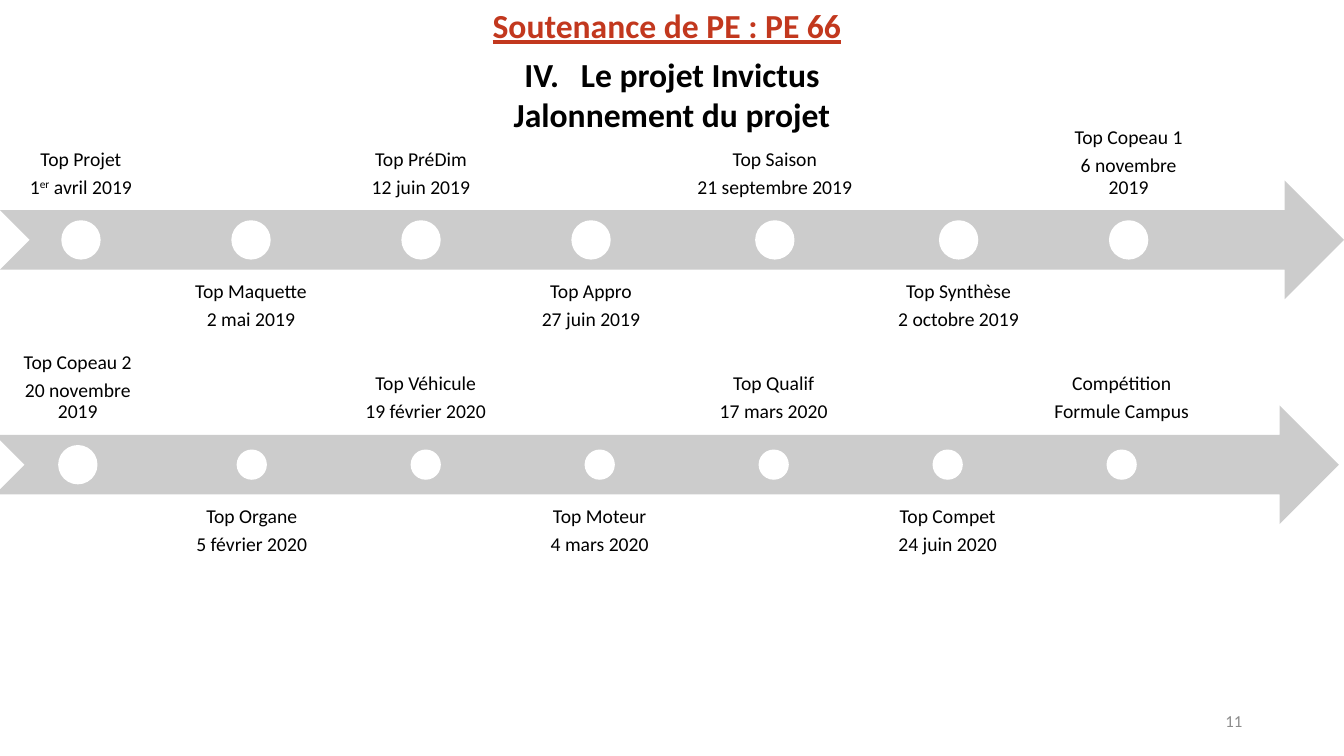
from dataclasses import dataclass

from lxml import etree
from pptx import Presentation, util as u
from pptx.dml.color import RGBColor
from pptx.enum import shapes, text
from pptx.oxml.ns import qn


@dataclass(frozen=True)
class Theme:
    font: str = "Calibri"
    accent: str = "C2381E"
    ink: str = "000000"
    muted: str = "8C8C8C"
    band: str = "CCCCCC"
    paper: str = "FFFFFF"
    heading_size: int = 24
    label_size: int = 14
    footer_size: int = 12


CENTER, RIGHT = text.PP_ALIGN.CENTER, text.PP_ALIGN.RIGHT
TOP, MIDDLE, BOTTOM = (text.MSO_ANCHOR.TOP, text.MSO_ANCHOR.MIDDLE,
                       text.MSO_ANCHOR.BOTTOM)
WIDTH, HEIGHT = 13.33, 7.5
LABEL_SPAN = 0.9    # share of the arrow's length that carries labels
LABEL_GAP = 0.05    # gap between labels, in label widths
ROW_HEIGHT = 3.02
LABEL_SHARE = 0.4   # label height as a share of the row
ARROW_SHARE = 0.39

# Each milestone: name, date runs, relative label width
FIRST_MILESTONES = [
    ("Top Projet", ["1", "^er", " avril 2019"], 1),
    ("Top Maquette", ["2 mai 2019"], 1),
    ("Top PréDim", ["12 juin 2019"], 1),
    ("Top Appro", ["27 juin 2019"], 1),
    ("Top Saison", ["21 septembre 2019"], 1.17),
    ("Top Synthèse", ["2 octobre 2019"], 1),
    ("Top Copeau 1", ["6 novembre 2019"], 1),
]
SECOND_MILESTONES = [
    ("Top Copeau 2", ["20 novembre 2019"], 1),
    ("Top Organe", ["5 février 2020"], 1),
    ("Top Véhicule", ["19 février 2020"], 1),
    ("Top Moteur", ["4 mars 2020"], 1),
    ("Top Qualif", ["17 mars 2020"], 1),
    ("Top Compet", ["24 juin 2020"], 1),
    ("Compétition", ["Formule Campus"], 1),
]


class Deck:
    def __init__(self, theme):
        self.theme = theme
        self.prs = Presentation()
        self.prs.slide_width = u.Inches(WIDTH)
        self.prs.slide_height = u.Inches(HEIGHT)
        self.slide = self.prs.slides.add_slide(self.prs.slide_layouts[1])

    def place(self, holder, left, top, width, height):
        holder.left, holder.top = u.Inches(left), u.Inches(top)
        holder.width, holder.height = u.Inches(width), u.Inches(height)

    def fill_lines(self, frame, lines, size, color, align=CENTER, anchor=TOP,
                   bold=False, underline=False, spacing=1.0, after=0):
        """Fill a frame with lines of runs; a leading ^ marks a superscript."""
        frame.word_wrap = True
        frame.auto_size = text.MSO_AUTO_SIZE.NONE
        frame.vertical_anchor = anchor
        for index, runs in enumerate(lines):
            line = frame.add_paragraph() if index else frame.paragraphs[0]
            line.alignment = align
            line.line_spacing = spacing
            line.space_before, line.space_after = u.Pt(0), u.Pt(after)
            for words in runs:
                run = line.add_run()
                run.text = words.lstrip("^")
                font = run.font
                font.name, font.size = self.theme.font, u.Pt(size)
                font.bold, font.underline = bold, underline
                font.color.rgb = RGBColor.from_string(color)
                if words.startswith("^"):
                    run._r.get_or_add_rPr().set("baseline", "30000")

    def title(self, words, left, top, width, height):
        holder = self.slide.shapes.title
        self.place(holder, left, top, width, height)
        self.fill_lines(holder.text_frame, [[words]], self.theme.heading_size,
                        self.theme.accent, bold=True, underline=True)

    def section(self, heading, subheading, number, left, top, width, height):
        """Set a Roman-numbered heading above an unnumbered one."""
        holder = self.slide.placeholders[1]
        self.place(holder, left, top, width, height)
        frame = holder.text_frame
        self.fill_lines(frame, [[heading], [subheading]],
                        self.theme.heading_size, self.theme.ink, bold=True)
        for line, indent in zip(frame.paragraphs, (0.56, 0)):
            props = line._p.get_or_add_pPr()
            props.set("marL", str(u.Inches(indent)))
            props.set("indent", str(-u.Inches(indent)))
            if indent:
                etree.SubElement(props, qn("a:buAutoNum"),
                                 type="romanUcPeriod", startAt=str(number))
            else:
                etree.SubElement(props, qn("a:buNone"))

    def page_number(self, number, left, top, width, height):
        holder = self.slide.shapes.add_textbox(0, 0, 0, 0)
        self.place(holder, left, top, width, height)
        self.fill_lines(holder.text_frame, [[str(number)]],
                        self.theme.footer_size, self.theme.muted,
                        align=RIGHT, anchor=MIDDLE)

    def preset(self, kind, color, left, top, width, height):
        figure = self.slide.shapes.add_shape(kind, 0, 0, 0, 0)
        self.place(figure, left, top, width, height)
        figure.shadow.inherit = False
        figure.fill.solid()
        figure.fill.fore_color.rgb = RGBColor.from_string(color)
        figure.line.fill.background()

    def label(self, lines, anchor, left, top, width, height):
        holder = self.slide.shapes.add_textbox(0, 0, 0, 0)
        self.place(holder, left, top, width, height)
        frame = holder.text_frame
        frame.margin_left = frame.margin_right = u.Inches(0.12)
        frame.margin_top = frame.margin_bottom = u.Inches(0.11)
        size = self.theme.label_size
        self.fill_lines(frame, lines, size, self.theme.ink, anchor=anchor,
                        spacing=0.9, after=0.35 * size)

    def timeline(self, milestones, left, top, dot_sizes):
        """Draw an arrow with labels alternating above and below it."""
        middle = top + ROW_HEIGHT / 2
        arrow_height = ARROW_SHARE * ROW_HEIGHT
        self.preset(shapes.MSO_SHAPE.NOTCHED_RIGHT_ARROW, self.theme.band,
                    left, middle - arrow_height / 2, WIDTH, arrow_height)
        columns = (sum(share for _, _, share in milestones)
                   + LABEL_GAP * (len(milestones) - 1))
        column = LABEL_SPAN * WIDTH / columns
        label_height = LABEL_SHARE * ROW_HEIGHT
        for index, (name, date, share) in enumerate(milestones):
            below = index % 2
            label_top = top + below * (ROW_HEIGHT - label_height)
            width = share * column
            self.label([[name], date], TOP if below else BOTTOM,
                       left, label_top, width, label_height)
            dot = dot_sizes[index]
            self.preset(shapes.MSO_SHAPE.OVAL, self.theme.paper,
                        left + (width - dot) / 2, middle - dot / 2, dot, dot)
            left += width + LABEL_GAP * column


def main():
    deck = Deck(Theme())
    deck.title("Soutenance de PE : PE 66", -0.05, 0, WIDTH, 0.5)
    deck.section("Le projet Invictus", "Jalonnement du projet", 4,
                 0, 0.48, WIDTH, 0.91)
    deck.page_number(11, 9.42, 6.95, 3, 0.4)
    deck.timeline(FIRST_MILESTONES, 0, 0.87, [0.39] * 7)
    deck.timeline(SECOND_MILESTONES, -0.05, 3.1, [0.39] + [0.3] * 6)
    deck.prs.save("out.pptx")


if __name__ == "__main__":
    main()
